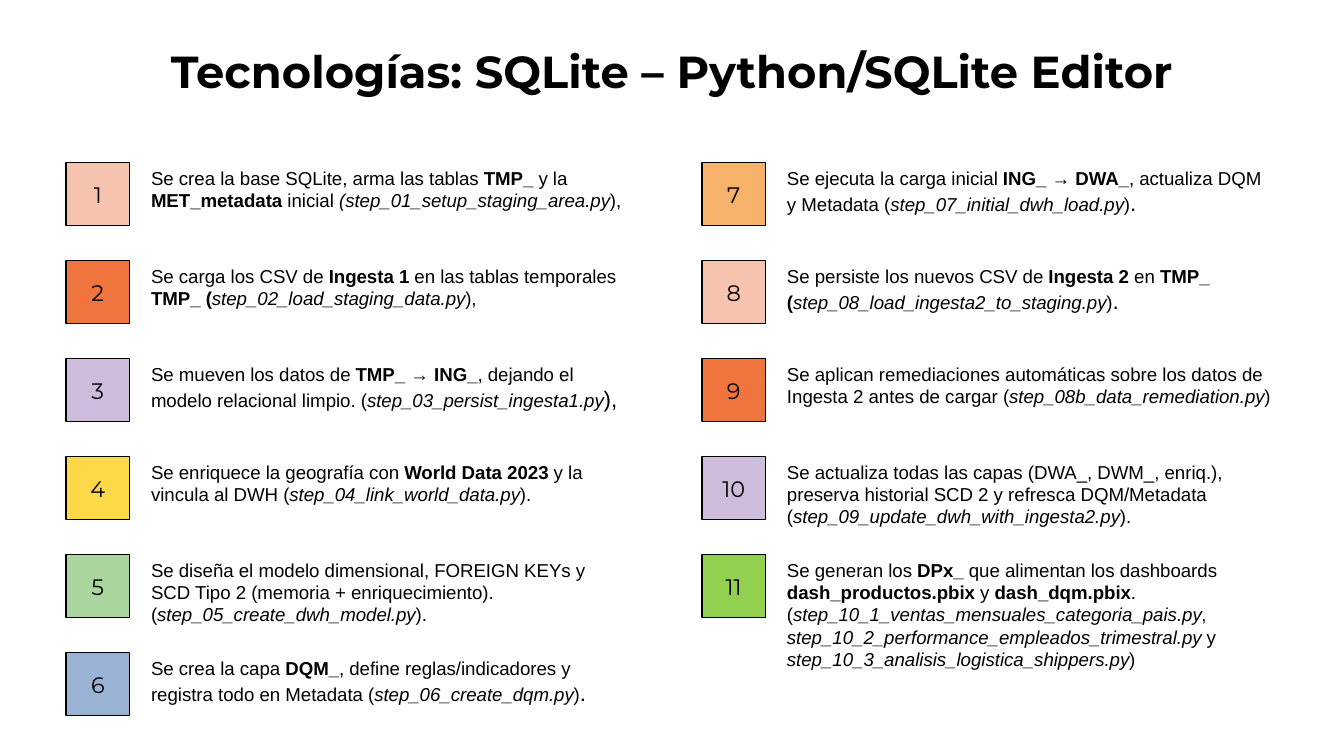
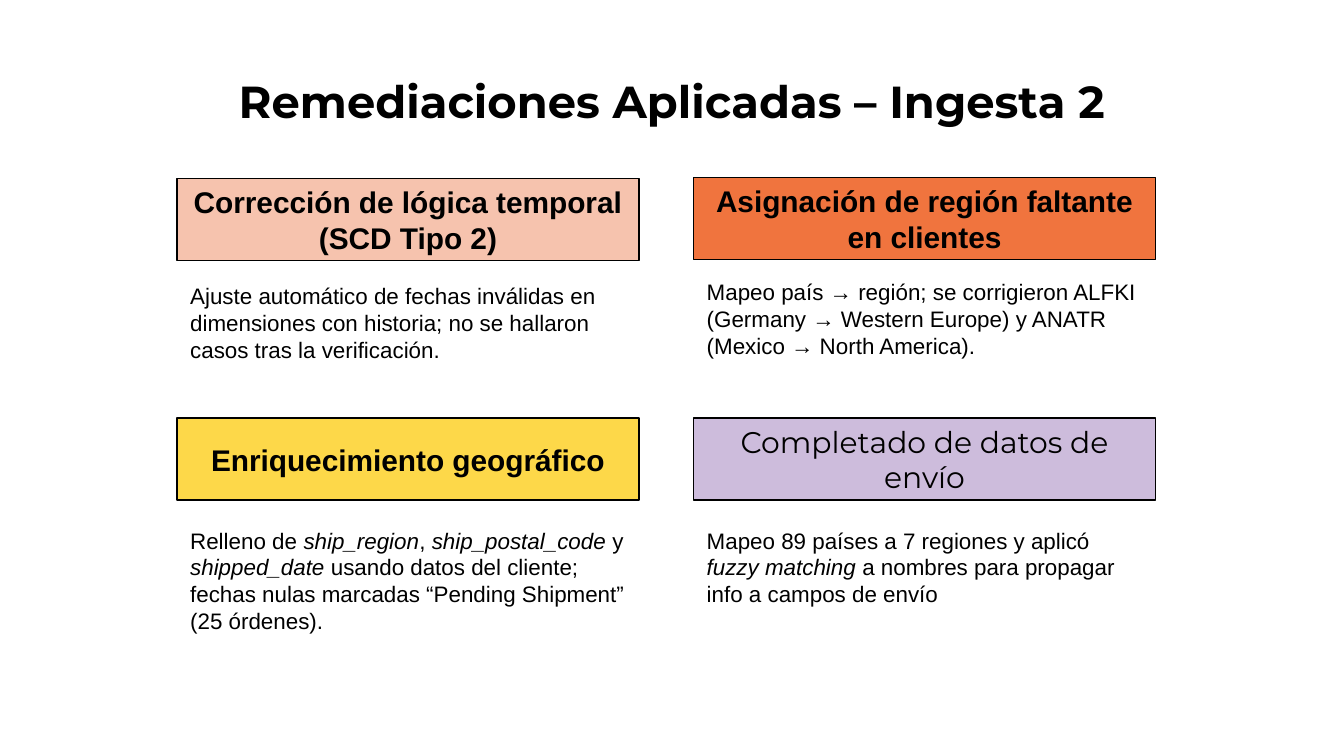
"""Build two slides: the pipeline steps and the remediations applied."""
from dataclasses import dataclass
from typing import NamedTuple, Optional

from pptx import Presentation
from pptx.dml.color import RGBColor
from pptx.enum.shapes import MSO_SHAPE as Preset
from pptx.enum.text import MSO_ANCHOR as Anchor, PP_ALIGN as Align
from pptx.presentation import Presentation as Deck
from pptx.shapes.autoshape import Shape
from pptx.slide import Slide
from pptx.util import Pt


@dataclass(frozen=True)
class Theme:
    ink: str = "000000"
    paper: str = "FFFFFF"
    salmon: str = "F6C3AE"
    orange: str = "F0743E"
    lilac: str = "CDBCDC"
    yellow: str = "FDD849"
    sage: str = "AAD59F"
    blue: str = "9AB2D4"
    amber: str = "F6B26B"
    lime: str = "92D050"
    display_font: str = "Montserrat"
    body_font: str = "Arial"
    title_size: float = 24
    heading_size: float = 16
    text_size: float = 12
    step_size: float = 10
    inset: float = 7.2
    outline: float = 0.75


THEME = Theme()


class Box(NamedTuple):
    left: float
    top: float
    width: float
    height: float


class Run(NamedTuple):
    text: str
    bold: bool = False
    italic: bool = False
    size: Optional[float] = None


class Step(NamedTuple):
    color: str
    runs: list[Run]
    text_width: float = 270
    text_height: float = 44


class Card(NamedTuple):
    color: str
    heading: str
    heading_top: float
    text_top: float
    runs: list[Run]
    heading_font: str = THEME.body_font
    text_height: float = 58


def bold(text: str) -> Run:
    return Run(text, bold=True)


def italic(text: str) -> Run:
    return Run(text, italic=True)


def large(text: str) -> Run:
    return Run(text, size=THEME.text_size)


STEPS_PER_COLUMN = 6
STEPS = [
    Step(THEME.salmon, [
        Run("Se crea la base SQLite, arma las tablas "), bold("TMP_"), Run(" y la "),
        bold("MET_metadata"), Run(" inicial "),
        italic("(step_01_setup_staging_area.py"), Run("),")]),
    Step(THEME.orange, [
        Run("Se carga los CSV de "), bold("Ingesta 1"), Run(" en las tablas temporales "),
        bold("TMP_ ("), italic("step_02_load_staging_data.py"), Run("),")]),
    Step(THEME.lilac, [
        Run("Se mueven los datos de "), bold("TMP_ → ING_"),
        Run(", dejando el modelo relacional limpio. ("),
        italic("step_03_persist_ingesta1.py"), large("),")]),
    Step(THEME.yellow, [
        Run("Se enriquece la geografía con "), bold("World Data 2023"),
        Run(" y la vincula al DWH ("), italic("step_04_link_world_data.py"), Run(").")]),
    Step(THEME.sage, [
        Run("Se diseña el modelo dimensional, FOREIGN KEYs y SCD Tipo 2 "
            "(memoria + enriquecimiento). ("),
        italic("step_05_create_dwh_model.py"), Run(").")]),
    Step(THEME.blue, [
        Run("Se crea la capa "), bold("DQM_"),
        Run(", define reglas/indicadores y registra todo en Metadata ("),
        italic("step_06_create_dqm.py"), Run(")"), large(".")]),
    Step(THEME.amber, [
        Run("Se ejecuta la carga inicial "), bold("ING_ → DWA_"),
        Run(", actualiza DQM y Metadata ("),
        italic("step_07_initial_dwh_load.py"), Run(")"), large(".")]),
    Step(THEME.salmon, [
        Run("Se persiste los nuevos CSV de "), bold("Ingesta 2"), Run(" en "),
        bold("TMP_ ("), italic("step_08_load_ingesta2_to_staging.py"),
        Run(")"), large(".")]),
    Step(THEME.orange, [
        Run("Se aplican remediaciones automáticas sobre los datos de Ingesta 2 "
            "antes de cargar ("),
        italic("step_08b_data_remediation.py"), Run(")")], text_width=278),
    Step(THEME.lilac, [
        Run("Se actualiza todas las capas (DWA_, DWM_, enriq.), preserva historial "
            "SCD 2 y refresca DQM/Metadata ("),
        italic("step_09_update_dwh_with_ingesta2.py"), Run(").")]),
    Step(THEME.lime, [
        Run("Se generan los "), bold("DPx_"), Run(" que alimentan los dashboards "),
        bold("dash_productos.pbix "), Run("y "), bold("dash_dqm.pbix"), Run(". ("),
        italic("step_10_1_ventas_mensuales_categoria_pais.py"), Run(", "),
        italic("step_10_2_performance_empleados_trimestral.py "), Run("y "),
        italic("step_10_3_analisis_logistica_shippers.py"), Run(")")], text_height=91.5),
]

CARDS = [
    Card(THEME.salmon, "Corrección de lógica temporal (SCD Tipo 2)", 95.6, 144, [
        Run("Ajuste automático de fechas inválidas en dimensiones con historia; "
            "no se hallaron casos tras la verificación.")]),
    Card(THEME.orange, "Asignación de región faltante en clientes", 95.1, 141.9, [
        Run("Mapeo país → región; se corrigieron ALFKI (Germany → Western Europe) "
            "y ANATR (Mexico → North America).")]),
    Card(THEME.yellow, "Enriquecimiento geográfico", 224, 275, [
        Run("Relleno de "), italic("ship_region"), Run(", "), italic("ship_postal_code"),
        Run(" y "), italic("shipped_date"),
        Run(" usando datos del cliente; fechas nulas marcadas “Pending Shipment” "
            "(25 órdenes).")], text_height=69),
    Card(THEME.lilac, "Completado de datos de envío", 224, 275, [
        Run("Mapeo 89 países a 7 regiones y aplicó "), italic("fuzzy matching"),
        Run(" a nombres para propagar info a campos de envío")],
        heading_font=THEME.display_font),
]


def write(shape: Shape, runs: list[Run], size: float, font: str,
          align: Align = Align.LEFT, anchor: Anchor = Anchor.TOP) -> None:
    frame = shape.text_frame
    frame.word_wrap = True
    frame.vertical_anchor = anchor
    frame.margin_left = frame.margin_right = Pt(THEME.inset)
    frame.margin_top = frame.margin_bottom = Pt(THEME.inset)
    paragraph = frame.paragraphs[0]
    paragraph.alignment = align
    for item in runs:
        run = paragraph.add_run()
        run.text = item.text
        run.font.name = font
        run.font.size = Pt(item.size or size)
        run.font.bold = item.bold
        run.font.italic = item.italic
        run.font.color.rgb = RGBColor.from_string(THEME.ink)


def add_text(slide: Slide, box: Box, runs: list[Run], size: float,
             font: str = THEME.body_font, align: Align = Align.LEFT) -> None:
    shape = slide.shapes.add_textbox(*map(Pt, box))
    write(shape, runs, size, font, align)


def add_block(slide: Slide, box: Box, color: str, label: Run,
              size: float, font: str) -> None:
    shape = slide.shapes.add_shape(Preset.RECTANGLE, *map(Pt, box))
    shape.shadow.inherit = False
    shape.fill.solid()
    shape.fill.fore_color.rgb = RGBColor.from_string(color)
    shape.line.color.rgb = RGBColor.from_string(THEME.ink)
    shape.line.width = Pt(THEME.outline)
    write(shape, [label], size, font, Align.CENTER, Anchor.MIDDLE)


def add_titled_slide(presentation: Deck, title: str, top: float) -> Slide:
    slide = presentation.slides.add_slide(presentation.slide_layouts[6])
    slide.background.fill.solid()
    slide.background.fill.fore_color.rgb = RGBColor.from_string(THEME.paper)
    add_text(slide, Box(35.4, top, 649, 44), [bold(title)],
             THEME.title_size, THEME.display_font, Align.CENTER)
    return slide


def build_steps(presentation: Deck) -> None:
    slide = add_titled_slide(presentation, "Tecnologías: SQLite – Python/SQLite Editor", 16.5)
    for index, step in enumerate(STEPS):
        column, row = divmod(index, STEPS_PER_COLUMN)
        left, top = 35.4 + column * 340.7, 87 + row * 52.5
        add_block(slide, Box(left, top, 34, 34), step.color, Run(str(index + 1)),
                  THEME.text_size, THEME.display_font)
        add_text(slide, Box(left + 38.4, top - 5, step.text_width, step.text_height),
                 step.runs, THEME.step_size)


def build_remediations(presentation: Deck) -> None:
    slide = add_titled_slide(presentation, "Remediaciones Aplicadas – Ingesta 2", 32.2)
    for index, card in enumerate(CARDS):
        left = 94.8 + index % 2 * 276.7
        label = Run(card.heading, bold=card.heading_font == THEME.body_font)
        add_block(slide, Box(left, card.heading_top, 247.6, 44), card.color, label,
                  THEME.heading_size, card.heading_font)
        add_text(slide, Box(left, card.text_top, 247.6, card.text_height),
                 card.runs, THEME.text_size)


def main() -> None:
    presentation = Presentation()
    presentation.slide_width, presentation.slide_height = Pt(720), Pt(405)
    build_steps(presentation)
    build_remediations(presentation)
    presentation.save("out.pptx")


if __name__ == "__main__":
    main()
